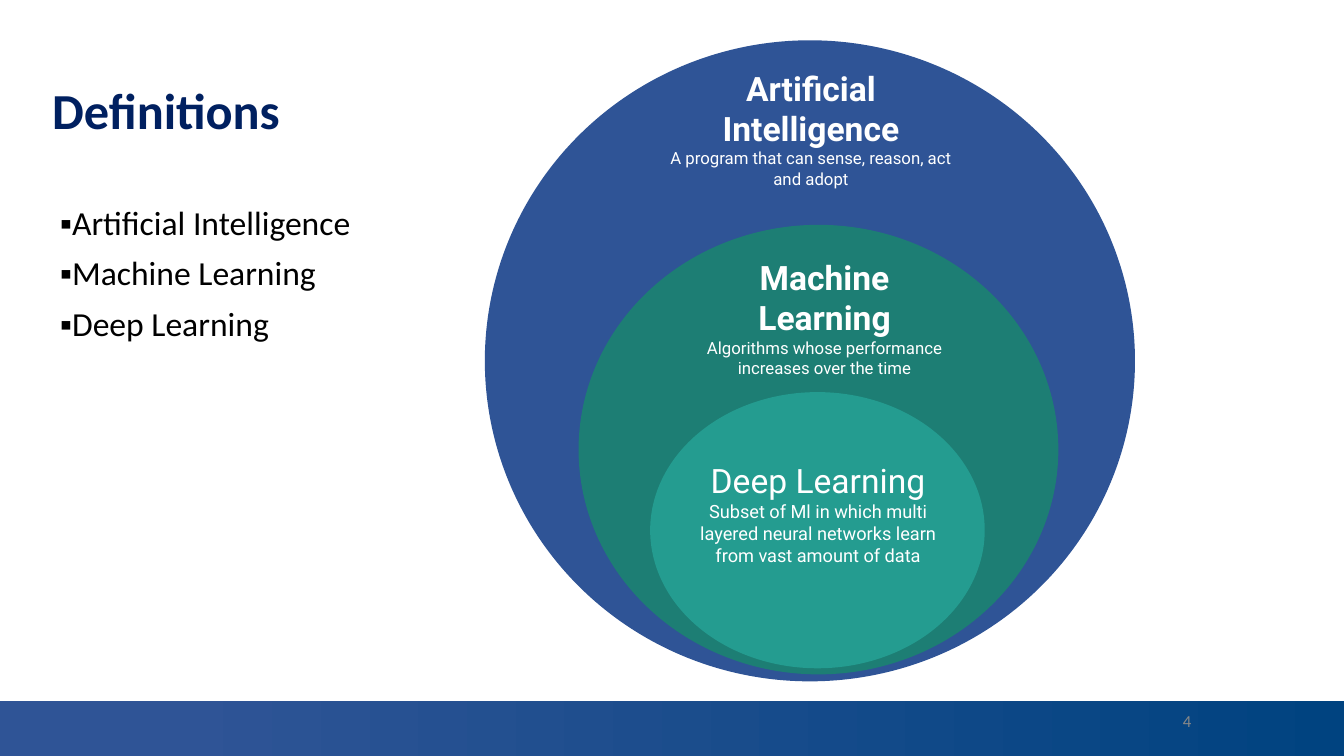
from pptx import Presentation
from pptx.dml.color import RGBColor as RGB
from pptx.enum.shapes import MSO_SHAPE as SHAPE
from pptx.enum.text import MSO_ANCHOR as ANCHOR, PP_ALIGN as ALIGN
from pptx.util import Pt

# Content
COLORS = {"navy": "002060", "black": "000000", "gray": "888888",
          "white": "FFFFFF", "blue": "2F5496", "deep_blue": "004380",
          "green": "1D7E74", "teal": "249C90"}
TITLE = "Definitions"
TERMS = ["Artificial Intelligence", "Machine Learning", "Deep Learning"]
PAGE = "4"
# Each circle: fill, ellipse box, text box, heading bold, note, note size
CIRCLES = [
    ("blue", (346.3, 28.8, 464.4, 457.9), (464.4, 42.5, 229.7, 97.9),
     True, "A program that can sense, reason, act and adopt", 12),
    ("green", (413.3, 160.6, 342.7, 321.1), (484.6, 179.3, 208.8, 95),
     True, "Algorithms whose performance increases over the time", 12),
    ("teal", (464.4, 280.1, 239, 197.3), (484.6, 306.7, 199.4, 119.5),
     False, "Subset of Ml in which multi layered neural networks learn "
     "from vast amount of data", 13),
]
WIDTH, HEIGHT, BAR_TOP = 960, 540, 500.4
MARGIN_LEFT = 30.2


def color(name):
    return RGB.from_string(COLORS[name])


def add_shape(kind, box):
    sp = slide.shapes.add_shape(kind, *map(Pt, box))
    sp.shadow.inherit = False
    sp.line.fill.background()
    return sp


def add_text(box, lines, font, ink, align=ALIGN.LEFT, anchor=ANCHOR.MIDDLE,
             inset=(7.2, 3.6)):
    """Add a text box; lines holds (text, size, bold) tuples."""
    tf = slide.shapes.add_textbox(*map(Pt, box)).text_frame
    tf.word_wrap = True
    tf.vertical_anchor = anchor
    tf.margin_left = tf.margin_right = Pt(inset[0])
    tf.margin_top = tf.margin_bottom = Pt(inset[1])
    for i, (text, size, bold) in enumerate(lines):
        p = tf.add_paragraph() if i else tf.paragraphs[0]
        p.text = text
        p.alignment = align
        f = p.runs[0].font
        f.name, f.size, f.bold = font, Pt(size), bold
        f.color.rgb = color(ink)
    return tf


prs = Presentation()
prs.slide_width, prs.slide_height = Pt(WIDTH), Pt(HEIGHT)
slide = prs.slides.add_slide(prs.slide_layouts[6])

# Footer bar
bar = add_shape(SHAPE.RECTANGLE, (0, BAR_TOP, WIDTH, HEIGHT - BAR_TOP))
bar.fill.gradient()
bar.fill.gradient_angle = 0
stops = zip(bar.fill.gradient_stops, (0.13, 1), ("blue", "deep_blue"))
for stop, position, name in stops:
    stop.position = position
    stop.color.rgb = color(name)

# Title
tf = add_text((MARGIN_LEFT, 28.8, 828, 104.4), [(TITLE, 36, True)],
              "Calibri", "navy")
tf.paragraphs[0].line_spacing = 0.9

# List of terms, with the square mark set tight against each word
tf = add_text((MARGIN_LEFT, 144, 464.4, 342.7),
              [("▪" + term, 24, False) for term in TERMS],
              "Calibri", "black", anchor=ANCHOR.TOP)
for i, p in enumerate(tf.paragraphs):
    p.line_spacing = 0.9
    p.space_before = Pt(10 if i else 0)
    pPr = p._p.get_or_add_pPr()
    pPr.set("marL", str(Pt(5.76)))
    pPr.set("indent", "0")

# Page number
add_text((642.2, BAR_TOP, 216, 28.8), [(PAGE, 12, False)], "Calibri", "gray",
         ALIGN.RIGHT)

# Nested circles, largest first
for term, (fill, oval, box, bold, note, size) in zip(TERMS, CIRCLES):
    sp = add_shape(SHAPE.OVAL, oval)
    sp.fill.solid()
    sp.fill.fore_color.rgb = color(fill)
    add_text(box, [(term, 24, bold), (note, size, False)], "Roboto", "white",
             ALIGN.CENTER, inset=(9.6, 9.6))

prs.save("out.pptx")
